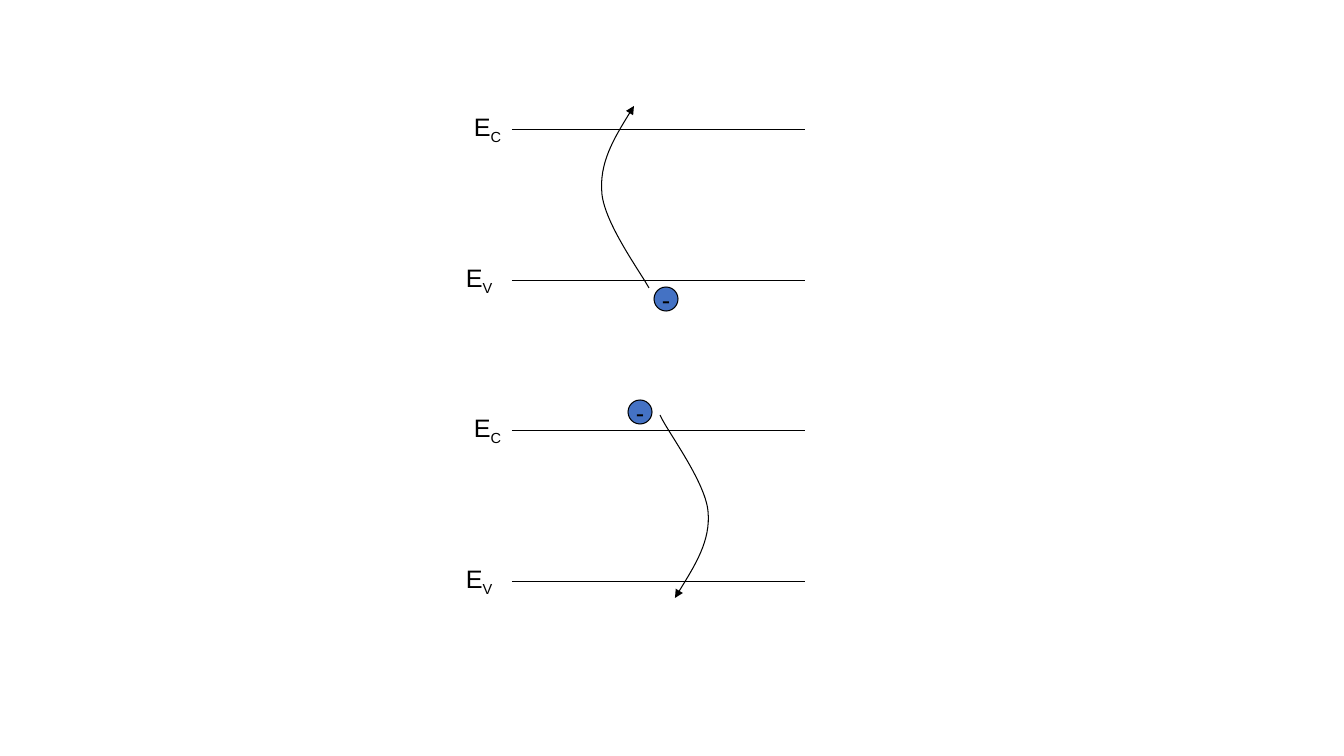
from dataclasses import dataclass

import lxml.etree
import pptx
import pptx.dml.color
import pptx.enum.shapes
import pptx.enum.text
import pptx.oxml.ns
import pptx.shapes.autoshape
import pptx.shapes.group
import pptx.slide
import pptx.text.text
import pptx.util

SCALE = 914400 / 100.8
COLOURS = {"ink": "000000", "electron": "4472C4"}
LEVEL_LEFT, LEVEL_RIGHT, BAND_GAP = 512, 805, 151
LABEL_HEIGHT, LABEL_RISE = 40, 24
ELECTRON_SIZE = 24


@dataclass
class Level:
    subscript: str
    drop: int
    label_left: int
    label_width: int
    wrap: bool


@dataclass
class Transition:
    conduction_y: int
    electron: tuple[int, int]
    curve: list[tuple[int, int]]


LEVELS = [
    Level("C", 0, 464, 49, True),
    Level("V", BAND_GAP, 456, 48, False),
]
TRANSITIONS = [
    Transition(130, (654, 287), [
        (634, 106), (616, 135), (599, 163), (602, 194),
        (605, 224), (641, 273), (649, 288)]),
    Transition(431, (628, 400), [
        (675, 598), (692, 570), (711, 541), (708, 511),
        (705, 481), (667, 431), (660, 415)]),
]


def px(length: int) -> pptx.util.Emu:
    return pptx.util.Emu(round(length * SCALE))


def colour(name: str) -> pptx.dml.color.RGBColor:
    return pptx.dml.color.RGBColor.from_string(COLOURS[name])


def format_line(line) -> None:
    line.color.rgb = colour("ink")
    line.width = pptx.util.Pt(0.75)


def format_font(para: pptx.text.text._Paragraph) -> None:
    para.font.name = "Arial"
    para.font.size = pptx.util.Pt(18)
    para.font.color.rgb = colour("ink")


def add_level(group: pptx.shapes.group.GroupShape, level: Level, y: int) -> None:
    line = group.shapes.add_connector(
        pptx.enum.shapes.MSO_CONNECTOR.STRAIGHT,
        px(LEVEL_LEFT), px(y), px(LEVEL_RIGHT), px(y))
    format_line(line.line)
    lxml.etree.SubElement(
        line._element.spPr, pptx.oxml.ns.qn("a:effectLst"))

    box = group.shapes.add_textbox(
        px(level.label_left), px(y - LABEL_RISE),
        px(level.label_width), px(LABEL_HEIGHT))
    box.text_frame.word_wrap = level.wrap
    box.text_frame.auto_size = pptx.enum.text.MSO_AUTO_SIZE.SHAPE_TO_FIT_TEXT
    para = box.text_frame.paragraphs[0]
    format_font(para)
    para.add_run().text = "E"
    span = para.add_run()
    span.text = level.subscript
    span._r.get_or_add_rPr().set("baseline", "-25000")


def add_electron(group: pptx.shapes.group.GroupShape, left: int, top: int) -> None:
    electron = group.shapes.add_shape(
        pptx.enum.shapes.MSO_SHAPE.OVAL,
        px(left), px(top), px(ELECTRON_SIZE), px(ELECTRON_SIZE))
    electron.shadow.inherit = False
    electron.fill.solid()
    electron.fill.fore_color.rgb = colour("electron")
    format_line(electron.line)
    frame = electron.text_frame
    frame.word_wrap = False
    frame.vertical_anchor = pptx.enum.text.MSO_ANCHOR.MIDDLE
    para = frame.paragraphs[0]
    para.text = "-"
    para.alignment = pptx.enum.text.PP_ALIGN.CENTER
    format_font(para)


def bend_segments(shape: pptx.shapes.autoshape.Shape) -> None:
    segments = list(shape._element.iter(pptx.oxml.ns.qn("a:lnTo")))
    path = segments[0].getparent()
    for start in range(0, len(segments), 3):
        bend = lxml.etree.SubElement(path, pptx.oxml.ns.qn("a:cubicBezTo"))
        for segment in segments[start:start + 3]:
            bend.append(segment[0])
            path.remove(segment)


def add_curve(group: pptx.shapes.group.GroupShape, points: list[tuple[int, int]]) -> None:
    builder = group.shapes.build_freeform(*points[0], scale=SCALE)
    builder.add_line_segments(points[1:], close=False)
    curve = builder.convert_to_shape()
    bend_segments(curve)
    curve.shadow.inherit = False
    curve.fill.background()
    format_line(curve.line)
    lxml.etree.SubElement(
        curve.line._get_or_add_ln(), pptx.oxml.ns.qn("a:headEnd"), type="triangle")


def add_transition(page: pptx.slide.Slide, transition: Transition) -> None:
    group = page.shapes.add_group_shape()
    for level in LEVELS:
        add_level(group, level, transition.conduction_y + level.drop)
    add_electron(group, *transition.electron)
    add_curve(group, transition.curve)


def main() -> None:
    deck = pptx.Presentation()
    deck.slide_width, deck.slide_height = px(1344), px(756)
    page = deck.slides.add_slide(deck.slide_layouts[6])
    for transition in TRANSITIONS:
        add_transition(page, transition)
    deck.save("out.pptx")


if __name__ == "__main__":
    main()
